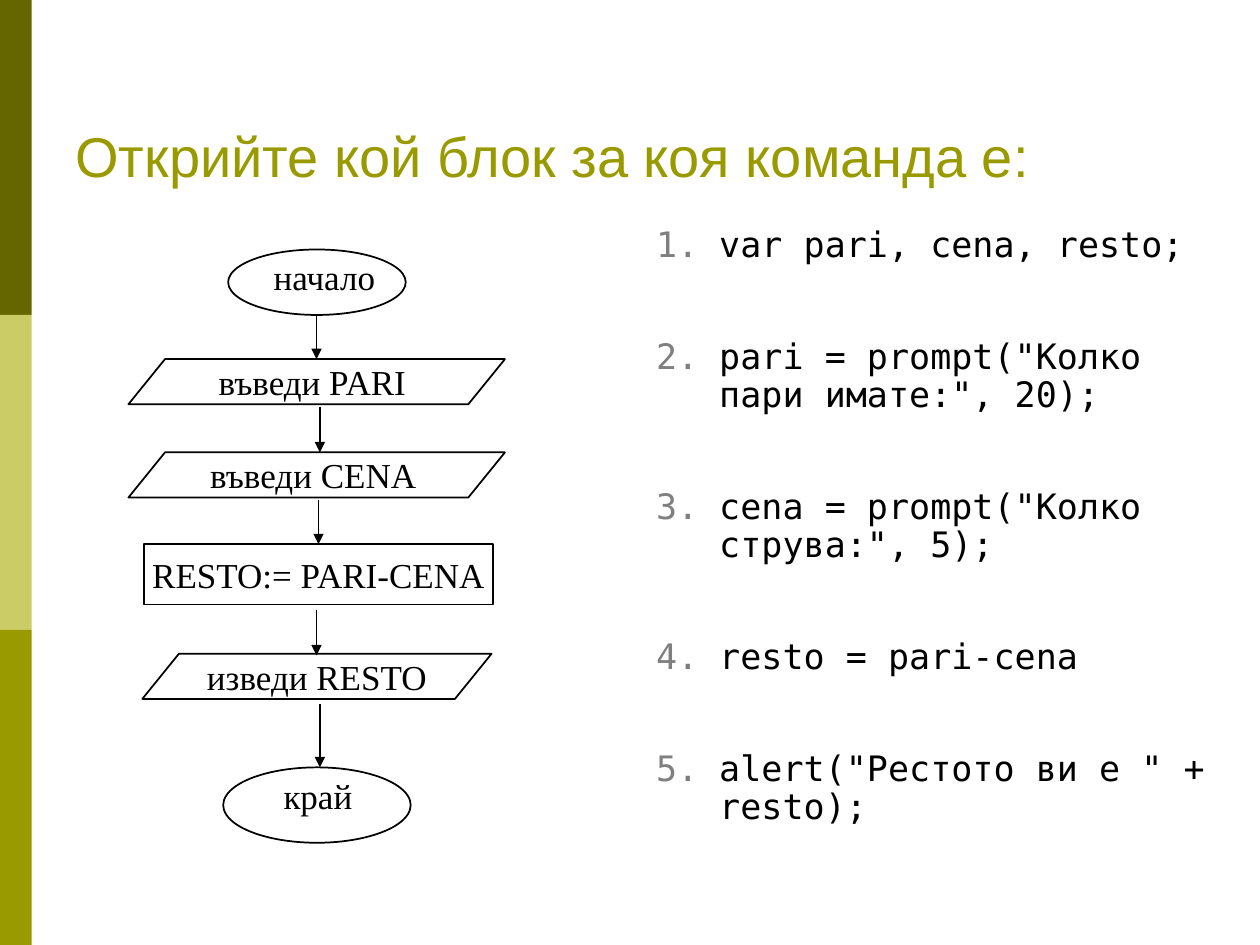
from lxml import etree
from pptx import Presentation
from pptx.dml.color import RGBColor
from pptx.enum.shapes import MSO_CONNECTOR, MSO_SHAPE
from pptx.enum.text import MSO_ANCHOR, PP_ALIGN
from pptx.oxml.ns import qn
from pptx.util import Cm, Pt

RECTANGLE, OVAL = MSO_SHAPE.RECTANGLE, MSO_SHAPE.OVAL
PARALLELOGRAM = MSO_SHAPE.PARALLELOGRAM
STRAIGHT = MSO_CONNECTOR.STRAIGHT
MIDDLE, BOTTOM, TOP = MSO_ANCHOR.MIDDLE, MSO_ANCHOR.BOTTOM, MSO_ANCHOR.TOP
CENTER = PP_ALIGN.CENTER
BLACK, OLIVE, GRAY = "000000", "999900", "7F7F7F"
SERIF, SANS, MONO = "Times New Roman", "Arial", "DejaVu Sans Mono"

COMMANDS = [
    "var pari, cena, resto;",
    'pari = prompt("Колко пари имате:", 20);',
    'cena = prompt("Колко струва:", 5);',
    "resto = pari-cena",
    'alert("Рестото ви е " + resto);',
]


def color(value):
    return RGBColor.from_string(value)


def set_font(para, name, size, value):
    para.font.name = name
    para.font.size = Pt(size)
    para.font.color.rgb = color(value)


def add_text_box(page, left, top, width, height, anchor=TOP):
    box = page.shapes.add_textbox(Cm(left), Cm(top), Cm(width), Cm(height))
    box.text_frame.word_wrap = True
    box.text_frame.vertical_anchor = anchor
    return box.text_frame


def add_sidebar(page, left, top, width, height):
    bands = ["666600", "CCCC66", OLIVE]
    step = height / len(bands)
    for index, fill in enumerate(bands):
        band = page.shapes.add_shape(
            RECTANGLE, Cm(left), Cm(top + index * step), Cm(width), Cm(step))
        band.shadow.inherit = False
        band.fill.solid()
        band.fill.fore_color.rgb = color(fill)
        band.line.fill.background()


def add_title(page, left, top, width, height):
    frame = add_text_box(page, left, top, width, height, BOTTOM)
    para = frame.paragraphs[0]
    para.text = "Открийте кой блок за коя команда е:"
    set_font(para, SANS, 32, OLIVE)


def add_number(para):
    """Gray automatic number in a hanging indent."""
    props = para._p.get_or_add_pPr()
    props.set("marL", str(Cm(1.27)))
    props.set("indent", str(-Cm(1.27)))
    bullet_color = etree.SubElement(props, qn("a:buClr"))
    etree.SubElement(bullet_color, qn("a:srgbClr"), val=GRAY)
    etree.SubElement(props, qn("a:buFont"), typeface=MONO)
    etree.SubElement(props, qn("a:buAutoNum"), type="arabicPeriod")


def add_commands(page, left, top, width, height):
    frame = add_text_box(page, left, top, width, height)
    for index, command in enumerate(COMMANDS):
        para = frame.add_paragraph() if index else frame.paragraphs[0]
        para.text = command
        add_number(para)
        para.line_spacing = 0.9
        para.space_before = Pt(42.5 if index else 0)
        set_font(para, MONO, 20, BLACK)


def add_block(page, kind, left, top, width, height, text=""):
    block = page.shapes.add_shape(kind, Cm(left), Cm(top), Cm(width), Cm(height))
    block.shadow.inherit = False
    block.fill.background()
    block.line.color.rgb = color(BLACK)
    block.line.width = Pt(1)
    if kind == PARALLELOGRAM:
        block.adjustments[0] = 0.81
    if text:
        frame = block.text_frame
        frame.word_wrap = False
        frame.vertical_anchor = MIDDLE
        para = frame.paragraphs[0]
        para.text = text
        para.alignment = CENTER
        set_font(para, SERIF, 20, BLACK)
    return block


def add_arrow(page, x, start, end):
    arrow = page.shapes.add_connector(STRAIGHT, Cm(x), Cm(start), Cm(x), Cm(end))
    arrow.line.color.rgb = color(BLACK)
    arrow.line.width = Pt(0.75)
    etree.SubElement(arrow.line._get_or_add_ln(), qn("a:tailEnd"), type="triangle")
    etree.SubElement(arrow._element.spPr, qn("a:effectLst"))
    return arrow


def add_flowchart(page, left, top, width):
    # Start and end ovals with their captions
    terminals = [
        ("начало", (2.01, 0, 3.58, 1.32), (2.21, 0)),
        ("край", (1.91, 10.44, 3.78, 1.52), (2.08, 10.46)),
    ]
    for text, (x, y, oval_width, oval_height), (text_x, text_y) in terminals:
        add_block(page, OVAL, left + x, top + y, oval_width, oval_height)
        frame = add_text_box(page, left + text_x, top + text_y, 3.48, 1.12)
        para = frame.paragraphs[0]
        para.text = text
        para.alignment = CENTER
        set_font(para, SERIF, 20, BLACK)

    # Input, calculation and output blocks
    narrow = width - 0.55
    for text, x, y, block_width in [
        ("въведи PARI ", 0, 2.21, width),
        ("въведи CENA ", 0, 4.09, width),
        ("изведи RESTO", 0.28, 8.15, narrow),
    ]:
        add_block(page, PARALLELOGRAM, left + x, top + y, block_width, 0.91, text)
    calculation = add_block(page, RECTANGLE, left + 0.31, top + 5.94,
                            narrow, 1.22, "RESTO:= PARI-CENA")

    # Arrows between the blocks
    for x, start, end in [(3.79, 1.35, 2.21), (3.86, 3.17, 4.09),
                          (3.79, 7.26, 8.18), (3.86, 9.17, 10.44)]:
        add_arrow(page, left + x, top + start, top + end)
    to_calculation = add_arrow(page, left + 3.83, top + 5.05, top + 5.94)
    to_calculation.end_connect(calculation, 0)


def main():
    deck = Presentation()
    deck.slide_width, deck.slide_height = Cm(25.4), Cm(19.05)
    page = deck.slides.add_slide(deck.slide_layouts[6])
    add_sidebar(page, 0, 0, 0.64, 19.05)
    add_title(page, 1.27, 0, 23.24, 3.94)
    add_commands(page, 12.98, 4.45, 11.63, 12.57)
    add_flowchart(page, 2.59, 5.03, 7.59)
    deck.save("out.pptx")


if __name__ == "__main__":
    main()
